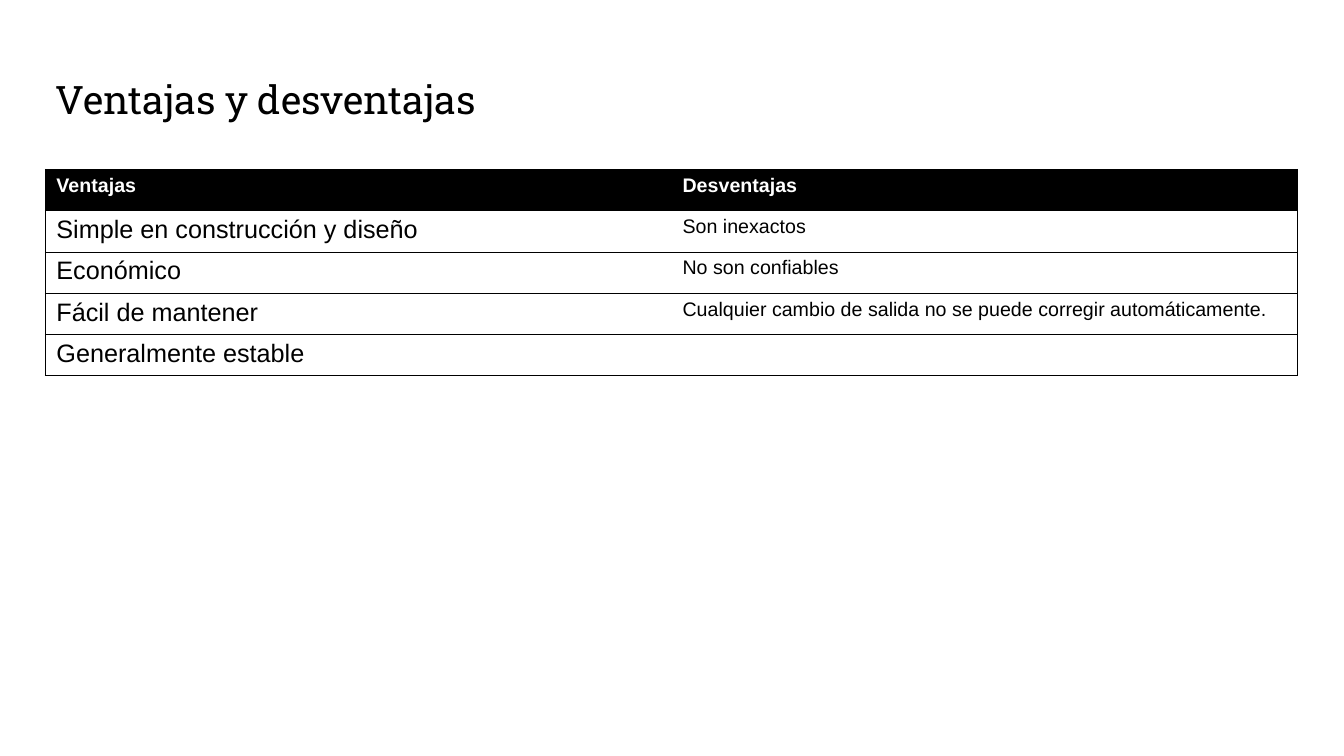
from typing import NamedTuple

from lxml.etree import SubElement
from pptx import Presentation
from pptx.dml.color import RGBColor
from pptx.enum.text import MSO_ANCHOR, MSO_AUTO_SIZE, PP_ALIGN
from pptx.oxml.ns import qn
from pptx.table import _Cell as Cell
from pptx.text.text import _Paragraph as Paragraph
from pptx.util import Inches, Pt

BLACK, WHITE = "000000", "FFFFFF"
PLAIN_STYLE = "{2D5ABB26-0587-4C30-8999-92F81FD0307C}"
LEFT, WIDTH = Inches(0.45), Inches(12.42)
ROW = Inches(0.41)


class Style(NamedTuple):
    size: int
    color: str = BLACK
    bold: bool = False
    font: str = "Arial"


TITLE = Style(28, font="Roboto Slab")
HEAD = Style(14, WHITE, True)
PRO, CON = Style(18), Style(14)

ROWS = [
    ("Ventajas", "Desventajas"),
    ("Simple en construcción y diseño", "Son inexactos"),
    ("Económico", "No son confiables"),
    ("Fácil de mantener",
     "Cualquier cambio de salida no se puede corregir automáticamente."),
    ("Generalmente estable", ""),
]


def rgb(code: str) -> RGBColor:
    return RGBColor.from_string(code)


def write(para: Paragraph, text: str, style: Style) -> None:
    run = para.add_run()
    run.text = text
    run.font.name = style.font
    run.font.size = Pt(style.size)
    run.font.bold = style.bold
    run.font.color.rgb = rgb(style.color)


def border(cell: Cell, sides: str) -> None:
    """Rule the given sides (letters of LRTB) and clear the others."""
    props = cell._tc.get_or_add_tcPr()
    for side in "LRTB":
        line = SubElement(props, qn(f"a:ln{side}"), w=str(Pt(0.75)))
        if side in sides:
            fill = SubElement(line, qn("a:solidFill"))
            SubElement(fill, qn("a:srgbClr"), val=BLACK)
        else:
            SubElement(line, qn("a:noFill"))


def fill_cell(cell: Cell, text: str, style: Style, sides: str, back: str) -> None:
    cell.margin_left = cell.margin_right = Inches(0.11)
    cell.margin_top = cell.margin_bottom = Inches(0.05)
    border(cell, sides)
    cell.fill.solid()
    cell.fill.fore_color.rgb = rgb(back)
    para = cell.text_frame.paragraphs[0]
    para.alignment = PP_ALIGN.JUSTIFY
    if text:
        write(para, text, style)
    else:
        para.font.size = Pt(style.size)


def main() -> None:
    deck = Presentation()
    deck.slide_width, deck.slide_height = Inches(13.33), Inches(7.5)
    slide = deck.slides.add_slide(deck.slide_layouts[5])

    title = slide.shapes.title
    title.left, title.top = LEFT, Inches(0.65)
    title.width, title.height = WIDTH, Inches(0.84)
    frame = title.text_frame
    frame.word_wrap = True
    frame.auto_size = MSO_AUTO_SIZE.NONE
    frame.vertical_anchor = MSO_ANCHOR.TOP
    frame.margin_left = frame.margin_right = Inches(0.1)
    frame.margin_top = frame.margin_bottom = Inches(0.1)
    frame.paragraphs[0].alignment = PP_ALIGN.LEFT
    write(frame.paragraphs[0], "Ventajas y desventajas", TITLE)

    table = slide.shapes.add_table(
        len(ROWS), 2, LEFT, Inches(1.68), WIDTH, ROW * len(ROWS)).table
    table._tbl.tblPr.find(qn("a:tableStyleId")).text = PLAIN_STYLE
    table.horz_banding = False
    for r, texts in enumerate(ROWS):
        table.rows[r].height = ROW
        back = WHITE if r else BLACK
        for c, (text, body, edge) in enumerate(zip(texts, (PRO, CON), "LR")):
            style = body if r else HEAD
            fill_cell(table.cell(r, c), text, style, edge + "TB", back)

    deck.save("out.pptx")


if __name__ == "__main__":
    main()
